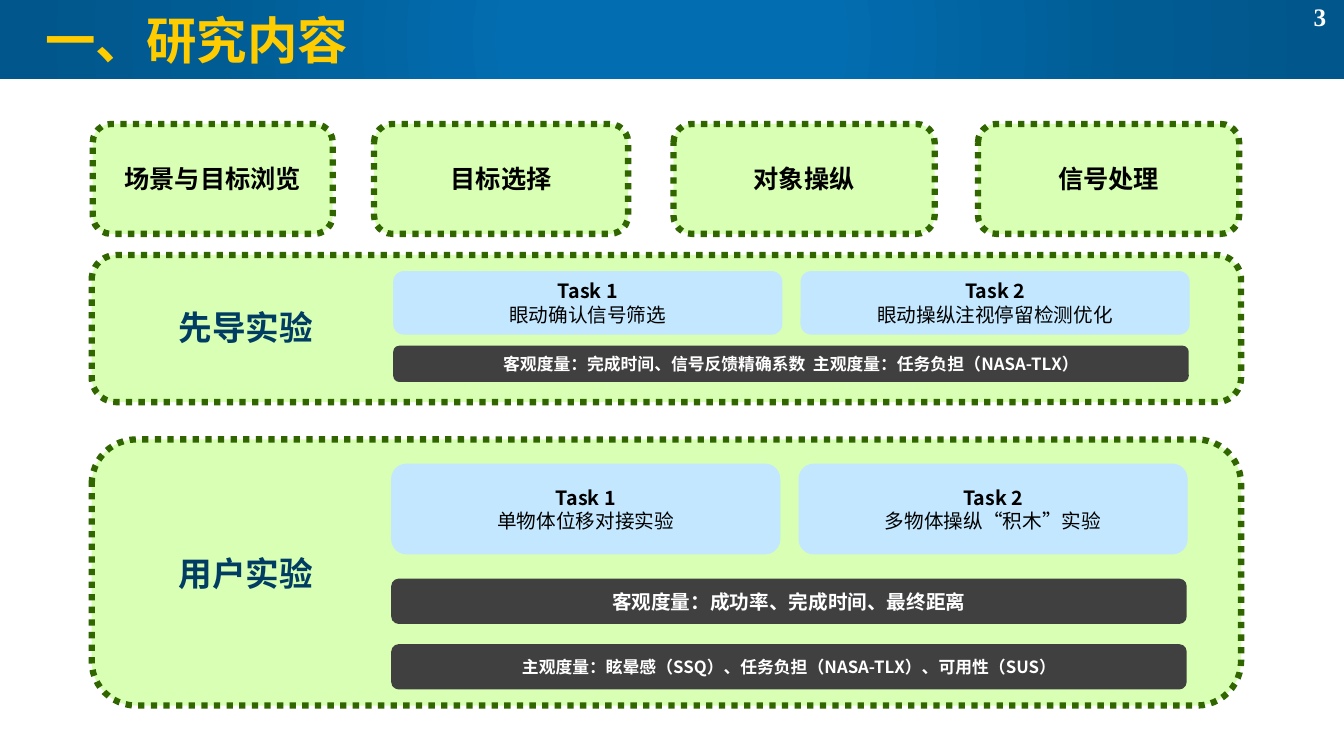
"""Build the research content slide with four topics and two experiments."""
from lxml.etree import SubElement
from pptx import Presentation
from pptx.dml.color import RGBColor
from pptx.enum.dml import MSO_LINE as Dash
from pptx.enum.shapes import MSO_SHAPE as Form
from pptx.enum.text import MSO_ANCHOR as Anchor, PP_ALIGN as Align
from pptx.oxml import parse_xml
from pptx.oxml.ns import nsdecls, qn
from pptx.util import Inches, Pt

SANS = "Noto Sans CJK SC"
SERIF = "Times New Roman"
LIME, GREEN, SKY, DARK = "D8FFB4", "306500", "C2E7FE", "404040"
BLACK, WHITE, NAVY, GOLD = "000000", "FFFFFF", "013D63", "FFCC00"


def tone(code):
    return RGBColor.from_string(code)


def write(shape, text, size=14, color=BLACK, bold=True, face=SANS, align=Align.CENTER):
    frame = shape.text_frame
    frame.word_wrap = True
    frame.vertical_anchor = Anchor.MIDDLE
    para = frame.add_paragraph() if frame.text else frame.paragraphs[0]
    para.alignment = align
    run = para.add_run()
    run.text = text
    font = run.font
    font.size, font.bold, font.name = Pt(size), bold, face
    font.color.rgb = tone(color)
    props = run._r.get_or_add_rPr()
    props.set("lang", "zh-CN")
    SubElement(props, qn("a:ea")).set("typeface", SANS)


deck = Presentation()
deck.slide_width, deck.slide_height = Inches(13.33), Inches(7.5)
slide = deck.slides.add_slide(deck.slide_layouts[5])
shapes = slide.shapes

title = shapes.title
title.left, title.top = Inches(0.35), Inches(0.04)
title.width, title.height = Inches(12.58), Inches(0.7)
write(title, "一、研究内容", 36, GOLD, face=SERIF, align=Align.LEFT)

bar = shapes.add_shape(Form.RECTANGLE, 0, 0, deck.slide_width, Inches(0.78))
bar.shadow.inherit = False
bar.line.fill.background()
stops = [(0, "026DB0"), (23, "026DB0"), (69, "015C94"), (97, "01568B")]
marks = "".join(
    f'<a:gs pos="{pos * 1000}"><a:srgbClr val="{code}"/></a:gs>' for pos, code in stops
)
blend = parse_xml(
    f'<a:gradFill {nsdecls("a")} rotWithShape="1"><a:gsLst>{marks}</a:gsLst>'
    '<a:path path="circle"><a:fillToRect l="50000" t="50000" r="50000" b="50000"/></a:path>'
    "</a:gradFill>"
)
bar._element.spPr.find(qn("a:prstGeom")).addnext(blend)
title._element.addprevious(bar._element)

page = shapes.add_textbox(Inches(12.5), Inches(-0.03), Inches(1.18), Inches(0.39))
write(page, "3", 18, WHITE, face=SERIF)

topics = [
    ("场景与目标浏览", 0.92, 2.38),
    ("目标选择", 3.71, 2.52),
    ("对象操纵", 6.68, 2.59),
    ("信号处理", 9.7, 2.59),
]
frames = [(left, 1.23, width, 1.09, text) for text, left, width in topics]
frames += [(0.91, 2.53, 11.4, 1.46, ""), (0.91, 4.36, 11.4, 2.64, "")]
for left, top, width, height, text in frames:
    card = shapes.add_shape(
        Form.ROUNDED_RECTANGLE, Inches(left), Inches(top), Inches(width), Inches(height)
    )
    card.shadow.inherit = False
    card.fill.solid()
    card.fill.fore_color.rgb = tone(LIME)
    card.line.color.rgb = tone(GREEN)
    card.line.width = Pt(4.5)
    card.line.dash_style = Dash.ROUND_DOT
    if text:
        write(card, text, 18)

for text, top in [("先导实验", 3.01), ("用户实验", 5.45)]:
    head = shapes.add_textbox(Inches(1.04), Inches(top), Inches(2.8), Inches(0.47))
    write(head, text, 24, NAVY)

tests = [
    (3.9, 2.69, 0.63, ["眼动确认信号筛选", "眼动操纵注视停留检测优化"]),
    (3.88, 4.6, 0.9, ["单物体位移对接实验", "多物体操纵“积木”实验"]),
]
tiles = [
    (left + 4.04 * i, top, 3.86, height, SKY, 14, text, f"Task {i + 1}")
    for left, top, height, tasks in tests
    for i, text in enumerate(tasks)
]
scales = [
    (3.9, 3.43, 0.36, 12, "客观度量：完成时间、信号反馈精确系数  主观度量：任务负担（NASA-TLX）"),
    (3.88, 5.74, 0.45, 14, "客观度量：成功率、完成时间、最终距离"),
    (3.88, 6.39, 0.45, 12, "主观度量：眩晕感（SSQ）、任务负担（NASA-TLX）、可用性（SUS）"),
]
tiles += [
    (left, top, 7.89, height, DARK, size, text, "")
    for left, top, height, size, text in scales
]
for left, top, width, height, fill, size, text, name in tiles:
    tile = shapes.add_shape(
        Form.ROUNDED_RECTANGLE, Inches(left), Inches(top), Inches(width), Inches(height)
    )
    tile.shadow.inherit = False
    tile.fill.solid()
    tile.fill.fore_color.rgb = tone(fill)
    tile.line.fill.background()
    if name:
        write(tile, name, size)
        write(tile, text, size, bold=False, face=SERIF)
    else:
        write(tile, text, size, WHITE)

deck.save("out.pptx")
